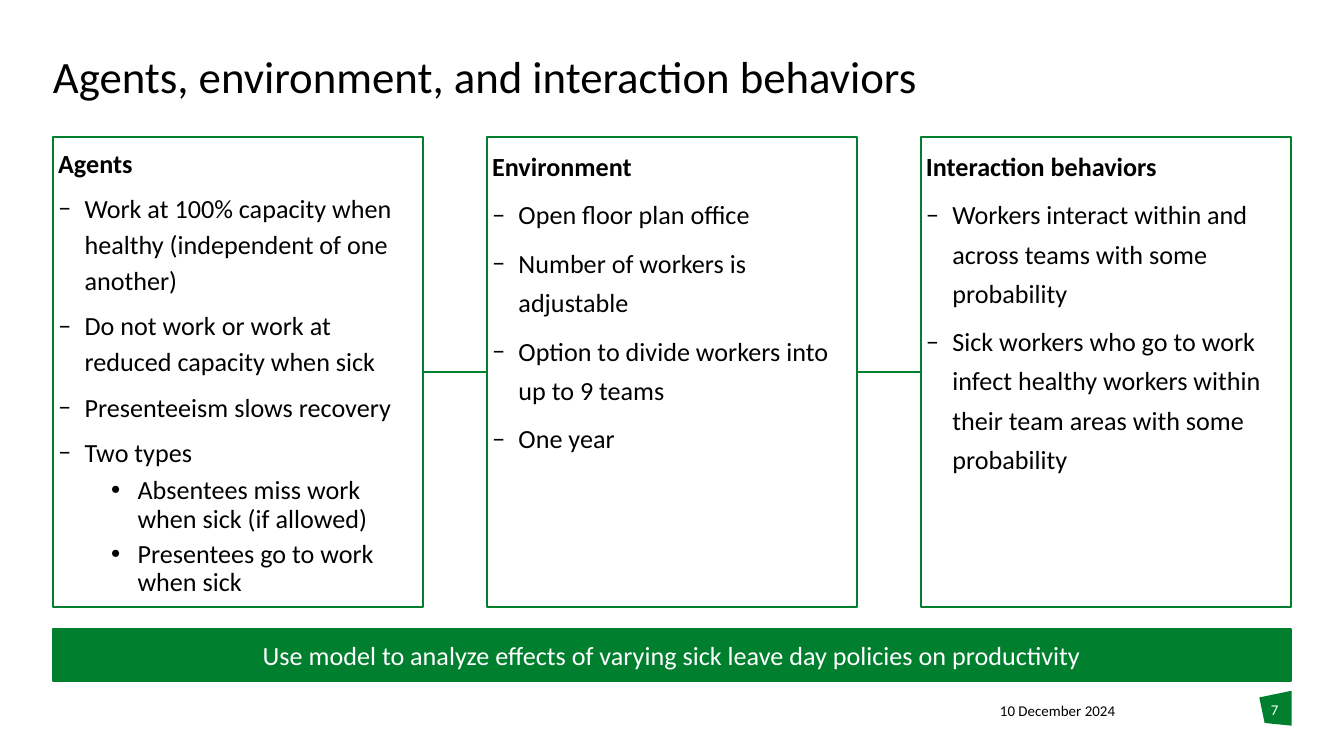
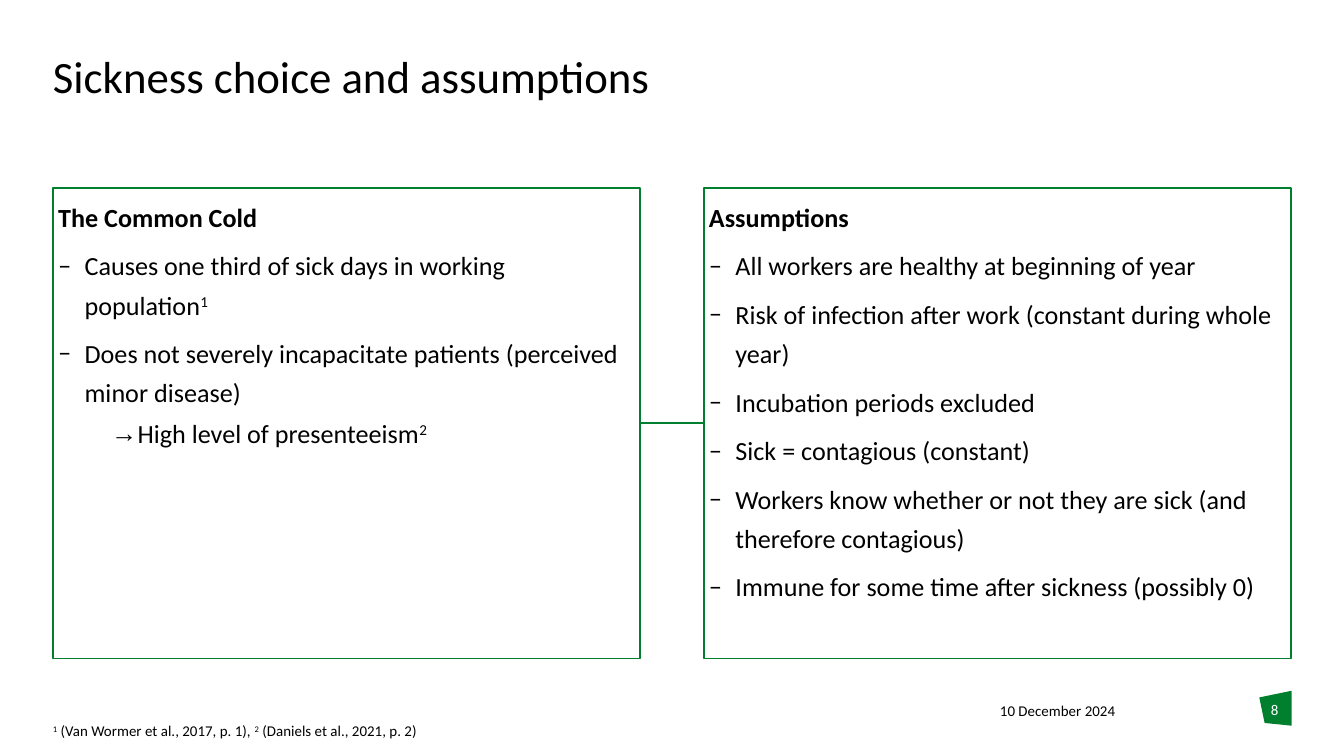
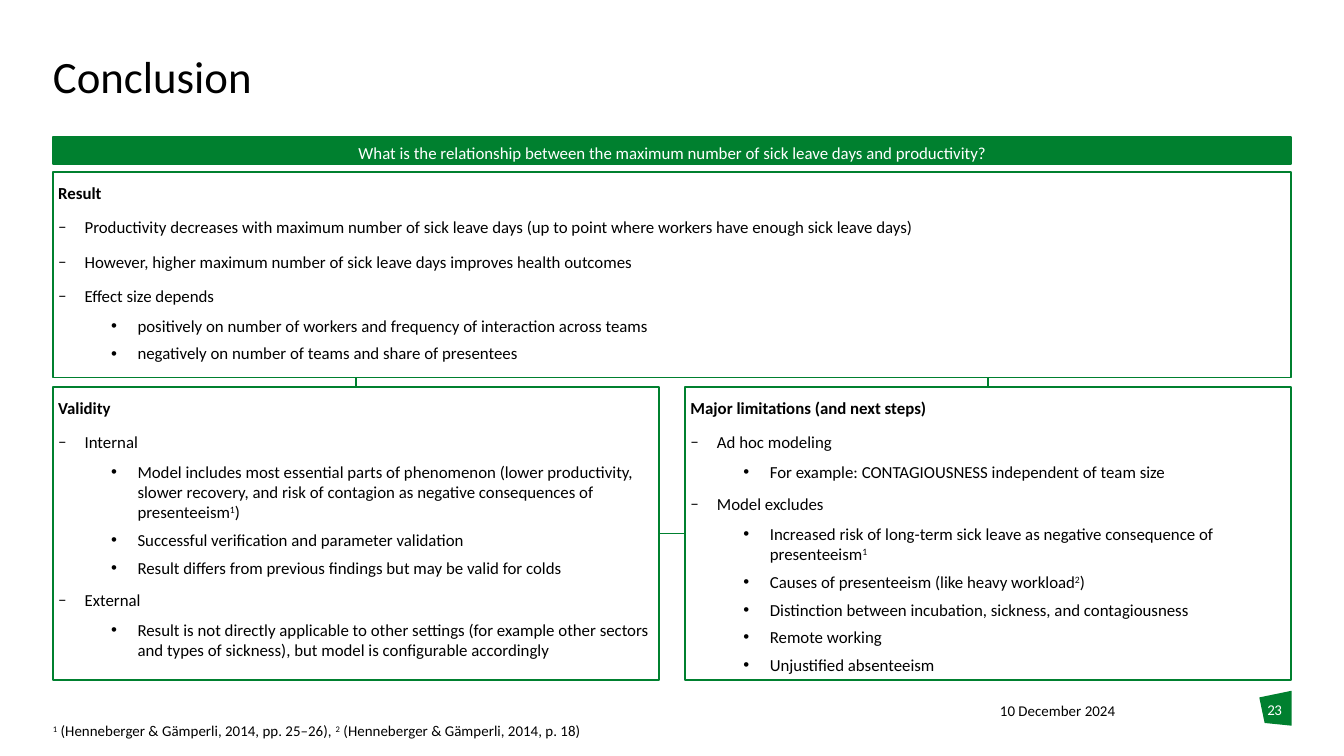
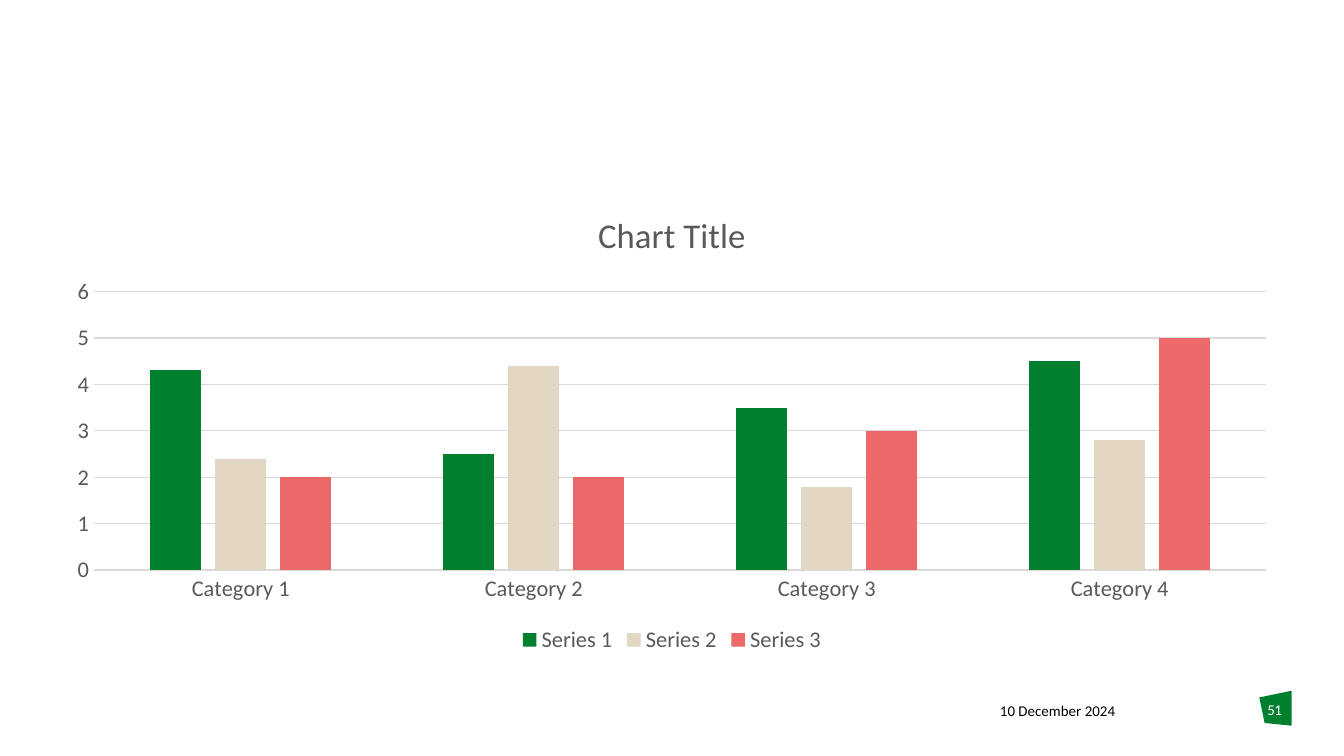
import pptx
import pptx.chart.data
import pptx.dml.color
import pptx.enum.chart
import pptx.enum.shapes
import pptx.enum.text
import pptx.oxml
import pptx.oxml.ns
import pptx.util

Inches, Cm, Pt = pptx.util.Inches, pptx.util.Cm, pptx.util.Pt
RGBColor = pptx.dml.color.RGBColor
ALIGN = pptx.enum.text.PP_ALIGN
ANCHOR = pptx.enum.text.MSO_ANCHOR
RECTANGLE = pptx.enum.shapes.MSO_SHAPE.RECTANGLE

# Content: a panel is a heading, then dash items; a nested list holds sub-items.
# Text between two ^ signs is superscript. Gaps are in centimetres.
DATE = "10 December 2024"
SLIDES = [
    {
        "title": "Agents, environment, and interaction behaviors",
        "page": 7,
        "size": 14,
        "banner": (4.68, 0.39, "Use model to analyze effects of varying sick leave day "
                               "policies on productivity"),
        "rows": [
            {"top": 1.02, "height": 3.5, "gap": 1.2, "panels": [
                {"spacing": 1.15, "sub_spacing": 0.9, "items": [
                    "Agents",
                    "Work at 100% capacity when healthy (independent of one another)",
                    "Do not work or work at reduced capacity when sick",
                    "Presenteeism slows recovery",
                    "Two types",
                    ["Absentees miss work when sick (if allowed)",
                     "Presentees go to work when sick"]]},
                {"items": [
                    "Environment",
                    "Open floor plan office",
                    "Number of workers is adjustable",
                    "Option to divide workers into up to 9 teams",
                    "One year"]},
                {"items": [
                    "Interaction behaviors",
                    "Workers interact within and across teams with some probability",
                    "Sick workers who go to work infect healthy workers within their "
                    "team areas with some probability"]},
            ]},
        ],
    },
    {
        "title": "Sickness choice and assumptions",
        "page": 8,
        "size": 14,
        "footnote": "^1^ (Van Wormer et al., 2017, p. 1), ^2^ (Daniels et al., 2021, p. 2)",
        "rows": [
            {"top": 1.4, "height": 3.5, "gap": 1.2, "panels": [
                {"sub_bullet": "→", "items": [
                    "The Common Cold",
                    "Causes one third of sick days in working population^1^",
                    "Does not severely incapacitate patients (perceived minor disease)",
                    ["High level of presenteeism^2^"]]},
                {"items": [
                    "Assumptions",
                    "All workers are healthy at beginning of year",
                    "Risk of infection after work (constant during whole year)",
                    "Incubation periods excluded",
                    "Sick = contagious (constant)",
                    "Workers know whether or not they are sick (and therefore contagious)",
                    "Immune for some time after sickness (possibly 0)"]},
            ]},
        ],
    },
    {
        "title": "Conclusion",
        "page": 23,
        "size": 9,
        "banner": (1.02, 0.2, "What is the relationship between the maximum number of sick "
                              "leave days and productivity?"),
        "banner_spacing": (1.25, 5),
        "footnote": "^1^ (Henneberger & Gämperli, 2014, pp. 25–26), "
                    "^2^ (Henneberger & Gämperli, 2014, p. 18)",
        "rows": [
            {"top": 1.28, "height": 1.53, "gap": 0, "panels": [
                {"items": [
                    "Result",
                    "Productivity decreases with maximum number of sick leave days "
                    "(up to point where workers have enough sick leave days)",
                    "However, higher maximum number of sick leave days improves health "
                    "outcomes",
                    "Effect size depends",
                    ["positively on number of workers and frequency of interaction "
                     "across teams",
                     "negatively on number of teams and share of presentees"]]},
            ]},
            {"top": 2.88, "height": 2.18, "gap": 0.5, "panels": [
                {"items": [
                    "Validity",
                    "Internal",
                    ["Model includes most essential parts of phenomenon (lower "
                     "productivity, slower recovery, and risk of contagion as negative "
                     "consequences of presenteeism^1^)",
                     "Successful verification and parameter validation",
                     "Result differs from previous findings but may be valid for colds"],
                    "External",
                    ["Result is not directly applicable to other settings (for example "
                     "other sectors and types of sickness), but model is configurable "
                     "accordingly"]]},
                {"items": [
                    "Major limitations (and next steps)",
                    "Ad hoc modeling",
                    ["For example: CONTAGIOUSNESS independent of team size"],
                    "Model excludes",
                    ["Increased risk of long-term sick leave as negative consequence of "
                     "presenteeism^1^",
                     "Causes of presenteeism (like heavy workload^2^)",
                     "Distinction between incubation, sickness, and contagiousness",
                     "Remote working",
                     "Unjustified absenteeism"]]},
            ]},
        ],
    },
    {
        "page": 51,
        "chart": {
            "title": "Chart Title",
            "categories": ["Category 1", "Category 2", "Category 3", "Category 4"],
            "series": {"Series 1": (4.3, 2.5, 3.5, 4.5),
                       "Series 2": (2.4, 4.4, 1.8, 2.8),
                       "Series 3": (2, 2, 3, 5)},
        },
    },
]

# Shared look
GREEN = RGBColor(0x00, 0x80, 0x2F)
SAND = RGBColor(0xE1, 0xD7, 0xC3)
CORAL = RGBColor(0xEB, 0x69, 0x69)
BLACK = RGBColor(0, 0, 0)
WHITE = RGBColor(0xFF, 0xFF, 0xFF)
GREY = RGBColor(0x59, 0x59, 0x59)
GRID_GREY = RGBColor(0xD9, 0xD9, 0xD9)
FONT = "Calibri"
DASH = "‒"
SLIDE_WIDTH = 10
LEFT = Cm(1).inches
WIDTH = SLIDE_WIDTH - 2 * LEFT
BADGE = [(9.37, 5.19), (9.61, 5.14), (9.61, 5.4), (9.41, 5.38)]
TITLE_ONLY, BLANK = 5, 6


def box(*lengths):
    return [Inches(length) for length in lengths]


def style_font(font, size, color, bold=None):
    font.name, font.size, font.bold = FONT, Pt(size), bold
    font.color.rgb = color


def write(paragraph, text, size, color=BLACK, bold=False):
    """Fill a paragraph; every second part between ^ signs is raised."""
    for number, part in enumerate(text.split("^")):
        if part:
            run = paragraph.add_run()
            run.text = part
            style_font(run.font, size, color, bold)
            if number % 2:
                run.font._element.set("baseline", "30000")


def set_frame(frame, inset, anchor=ANCHOR.TOP):
    frame.word_wrap = True
    frame.vertical_anchor = anchor
    frame.margin_left = frame.margin_right = inset
    frame.margin_top = frame.margin_bottom = inset


def add_xml(parent, tag, attributes=""):
    parent.append(pptx.oxml.parse_xml(
        f"<a:{tag} {pptx.oxml.ns.nsdecls('a')} {attributes}/>"))


def set_bullet(paragraph, indent, bullet):
    properties = paragraph._p.get_or_add_pPr()
    properties.set("marL", str(Cm(indent)))
    properties.set("indent", str(Cm(-0.5 if bullet else 0)))
    if bullet:
        bullet_font = FONT if bullet == DASH else "Arial"
        add_xml(properties, "buFont", f'typeface="{bullet_font}"')
        add_xml(properties, "buChar", f'char="{bullet}"')
    else:
        add_xml(properties, "buNone")


def add_label(slide, place, text, size=8, color=BLACK, align=ALIGN.LEFT):
    label = slide.shapes.add_textbox(*box(*place))
    set_frame(label.text_frame, 0)
    paragraph = label.text_frame.paragraphs[0]
    paragraph.alignment = align
    write(paragraph, text, size, color)
    return paragraph


def add_rectangle(slide, place, filled):
    rectangle = slide.shapes.add_shape(RECTANGLE, *box(*place))
    rectangle.shadow.inherit = False
    rectangle.line.color.rgb, rectangle.line.width = GREEN, Pt(1)
    if filled:
        rectangle.fill.solid()
        rectangle.fill.fore_color.rgb = GREEN
    else:
        rectangle.fill.background()
    return rectangle


def add_link(slide, *ends):
    link = slide.shapes.add_connector(
        pptx.enum.shapes.MSO_CONNECTOR.STRAIGHT, *box(*ends))
    link.line.color.rgb, link.line.width = GREEN, Pt(1)
    add_xml(link._element.spPr, "effectLst")


def add_title(slide, text):
    title = slide.shapes.title
    title.left, title.top, title.width, title.height = box(LEFT, 0.41, WIDTH, 0.67)
    title.text_frame.text = text
    set_frame(title.text_frame, 0)
    paragraph = title.text_frame.paragraphs[0]
    paragraph.alignment, paragraph.line_spacing = ALIGN.LEFT, 0.9
    style_font(paragraph.runs[0].font, 24, BLACK)


def add_footer(slide, page):
    corners = [box(*corner) for corner in BADGE]
    outline = slide.shapes.build_freeform(*corners[0])
    outline.add_line_segments(corners[1:], close=True)
    badge = outline.convert_to_shape()
    badge.shadow.inherit = False
    badge.fill.solid()
    badge.fill.fore_color.rgb = GREEN
    badge.line.fill.background()
    add_label(slide, (7.44, 5.22, 1.29, 0.2), DATE)
    number = add_label(slide, (9.37, 5.21, 0.23, 0.3), str(page), 8, WHITE, ALIGN.CENTER)
    number.runs[0].font._element.set("spc", "-30")


def add_banner(slide, top, height, text, size, spacing=None):
    banner = add_rectangle(slide, (LEFT, top, WIDTH, height), True)
    banner.text_frame.word_wrap = True
    banner.text_frame.vertical_anchor = ANCHOR.MIDDLE
    paragraph = banner.text_frame.paragraphs[0]
    paragraph.alignment = ALIGN.CENTER
    if spacing:
        paragraph.line_spacing, paragraph.space_after = spacing[0], Pt(spacing[1])
    write(paragraph, text, size, WHITE)


def add_panel(slide, place, size, items, spacing=1.25, sub_spacing=1.0, sub_bullet="•"):
    frame = add_rectangle(slide, place, False).text_frame
    set_frame(frame, Cm(0.1))

    lines = [(items[0], 1, 0, "")]
    for item in items[1:]:
        if isinstance(item, list):
            lines += [(text, 2, 1.5, sub_bullet) for text in item]
        else:
            lines.append((item, 1, 0.5, DASH))

    for number, (text, level, indent, bullet) in enumerate(lines):
        paragraph = frame.add_paragraph() if number else frame.paragraphs[0]
        paragraph.alignment, paragraph.level = ALIGN.LEFT, level
        paragraph.line_spacing = spacing if level == 1 else sub_spacing
        paragraph.space_after = Pt(5 if level == 1 else 4)
        set_bullet(paragraph, indent, bullet)
        write(paragraph, text, size, bold=number == 0)


def add_rows(slide, rows, size):
    bottom_above = None
    for row in rows:
        top, height, panels = row["top"], row["height"], row["panels"]
        gap = Cm(row["gap"]).inches
        width = (WIDTH - gap * (len(panels) - 1)) / len(panels)
        middle = top + height / 2
        for column, panel in enumerate(panels):
            left = LEFT + column * (width + gap)
            add_panel(slide, (left, top, width, height), size, **panel)
            if column:
                add_link(slide, left - gap, middle, left, middle)
            if bottom_above:
                center = left + width / 2
                add_link(slide, center, bottom_above, center, top)
        bottom_above = top + height


def add_column_chart(slide, title, categories, series):
    data = pptx.chart.data.CategoryChartData()
    data.categories = categories
    for name, values in series.items():
        data.add_series(name, values)
    chart = slide.shapes.add_chart(
        pptx.enum.chart.XL_CHART_TYPE.COLUMN_CLUSTERED,
        *box(LEFT, 1.4, WIDTH, 3.5), data).chart
    style_font(chart.font, 10, BLACK)

    chart.has_title = True
    chart.chart_title.text_frame.text = title
    style_font(chart.chart_title.text_frame.paragraphs[0].runs[0].font, 18.6, GREY, False)
    chart.chart_title.include_in_layout = False
    chart.has_legend = True
    chart.legend.position = pptx.enum.chart.XL_LEGEND_POSITION.BOTTOM
    chart.legend.include_in_layout = False
    style_font(chart.legend.font, 12, GREY)

    plot = chart.plots[0]
    plot.vary_by_categories = False
    plot.gap_width, plot.overlap = 219, -27
    for bars, color in zip(plot.series, (GREEN, SAND, CORAL)):
        bars.format.fill.solid()
        bars.format.fill.fore_color.rgb = color

    for axis in (chart.category_axis, chart.value_axis):
        axis.major_tick_mark = pptx.enum.chart.XL_TICK_MARK.NONE
        axis.minor_tick_mark = pptx.enum.chart.XL_TICK_MARK.NONE
        style_font(axis.tick_labels.font, 12, GREY)
    chart.value_axis.format.line.fill.background()
    chart.value_axis.has_major_gridlines = True
    for line in (chart.category_axis.format.line,
                 chart.value_axis.major_gridlines.format.line):
        line.color.rgb, line.width = GRID_GREY, Pt(0.75)


def main():
    deck = pptx.Presentation()
    deck.slide_width = Inches(SLIDE_WIDTH)
    deck.slide_height = Inches(SLIDE_WIDTH * 9 / 16)
    for content in SLIDES:
        layout = TITLE_ONLY if "title" in content else BLANK
        slide = deck.slides.add_slide(deck.slide_layouts[layout])
        add_footer(slide, content["page"])
        if "title" in content:
            add_title(slide, content["title"])
        if "banner" in content:
            add_banner(slide, *content["banner"], content["size"],
                       content.get("banner_spacing"))
        if "rows" in content:
            add_rows(slide, content["rows"], content["size"])
        if "footnote" in content:
            add_label(slide, (LEFT, 5.37, 7.87, 0.14), content["footnote"])
        if "chart" in content:
            add_column_chart(slide, **content["chart"])
    deck.save("out.pptx")


if __name__ == "__main__":
    main()
